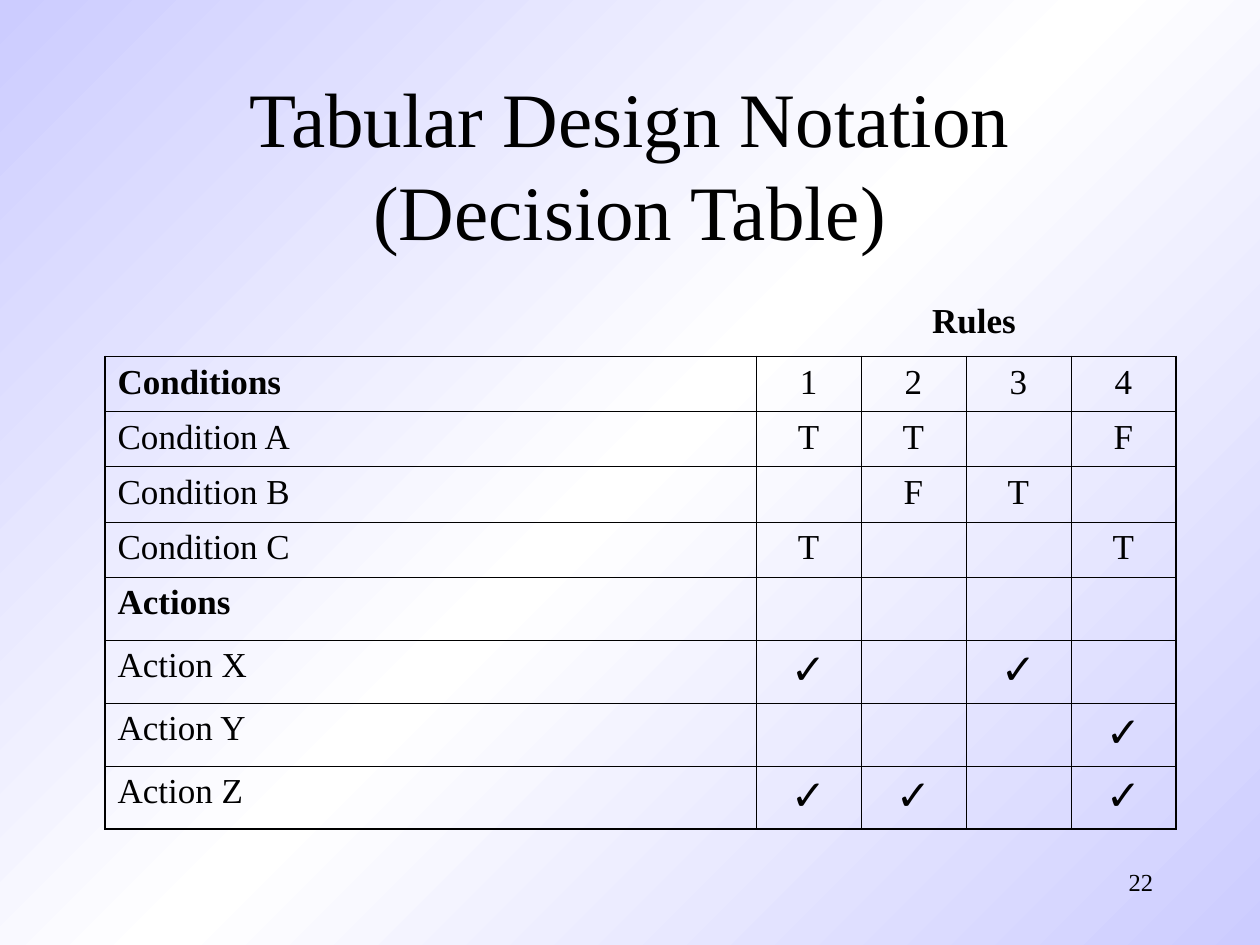
from copy import deepcopy
from typing import NamedTuple

from lxml import etree
from pptx import Presentation
from pptx import util as u
from pptx.dml.color import RGBColor
from pptx.enum import text
from pptx.oxml.ns import qn

COLORS = {"ink": "000000", "edge": "CCCCFF", "middle": "FFFFFF"}
FONT = "Times New Roman"
CHECK = "✓"
OUTER, INNER = u.Pt(1.08), u.Pt(0.45)
LEFT, CENTER, RIGHT = (text.PP_ALIGN.LEFT, text.PP_ALIGN.CENTER,
                       text.PP_ALIGN.RIGHT)

# Table grid: four rule columns and eight rows fill 8.5 by 3.75 inches
TABLE_WIDTH, TABLE_HEIGHT = 8.5, 3.75
RULE_WIDTH = 5 / 6
COL_WIDTHS = [TABLE_WIDTH - 4 * RULE_WIDTH] + [RULE_WIDTH] * 4
ACTION_HEIGHT = 0.5
CONDITION_HEIGHT = (TABLE_HEIGHT - 4 * ACTION_HEIGHT) / 4


class Row(NamedTuple):
    label: str
    rules: tuple[str, str, str, str] = ("", "", "", "")
    height: float = ACTION_HEIGHT
    bold: bool = False


class Label(NamedTuple):
    content: str
    box: tuple[float, float, float, float]
    size: float
    align: text.PP_ALIGN
    bold: bool = False
    anchor: text.MSO_ANCHOR = text.MSO_ANCHOR.TOP
    wrap: bool = True


ROWS = [
    Row("Conditions", ("1", "2", "3", "4"), CONDITION_HEIGHT, True),
    Row("Condition A", ("T", "T", "", "F"), CONDITION_HEIGHT),
    Row("Condition B", ("", "F", "T", ""), CONDITION_HEIGHT),
    Row("Condition C", ("T", "", "", "T"), CONDITION_HEIGHT),
    Row("Actions", bold=True),
    Row("Action X", (CHECK, "", CHECK, "")),
    Row("Action Y", ("", "", "", CHECK)),
    Row("Action Z", (CHECK, CHECK, "", CHECK)),
]

LABELS = [
    Label("22", (7.17, 6.83, 2.08, 0.5), 14, RIGHT),
    Label("Tabular Design Notation (Decision Table)", (0.75, 0.67, 8.5, 1.25),
          44, CENTER, anchor=text.MSO_ANCHOR.MIDDLE),
    Label("Rules", (7.3, 2.32, 0.88, 0.44), 20, LEFT, bold=True, wrap=False),
]


def write(tf, content: str, *, size: float, align=LEFT, bold: bool = False,
          font: str = FONT, before: float = 0) -> None:
    p = tf.paragraphs[0]
    p.alignment = align
    p.space_before = u.Pt(before)
    r = p.add_run()
    r.text = content
    r.font.size = u.Pt(size)
    r.font.name = font
    r.font.bold = bold
    r.font.color.rgb = RGBColor.from_string(COLORS["ink"])


def paint_background(s) -> None:
    fill = s.background.fill
    fill.gradient()
    fill.gradient_angle = 315
    for stop in fill.gradient_stops:
        stop.color.rgb = RGBColor.from_string(COLORS["edge"])
    # The white middle stop needs a third entry in the list
    stops = s.background._cSld.find(".//" + qn("a:gsLst"))
    stops.insert(1, deepcopy(stops[0]))
    middle = fill.gradient_stops[1]
    middle.position = 0.5
    middle.color.rgb = RGBColor.from_string(COLORS["middle"])


def add_label(s, label: Label) -> None:
    sp = s.shapes.add_textbox(*map(u.Inches, label.box))
    tf = sp.text_frame
    tf.word_wrap = label.wrap
    if not label.wrap:
        tf.auto_size = text.MSO_AUTO_SIZE.SHAPE_TO_FIT_TEXT
    tf.vertical_anchor = label.anchor
    write(tf, label.content, size=label.size, align=label.align,
          bold=label.bold)


def set_borders(cell, widths: dict[str, int]) -> None:
    tc_pr = cell._tc.get_or_add_tcPr()
    for side, width in widths.items():
        ln = etree.SubElement(tc_pr, qn(f"a:ln{side}"), w=str(int(width)))
        fill = etree.SubElement(ln, qn("a:solidFill"))
        etree.SubElement(fill, qn("a:srgbClr"), val=COLORS["ink"])


def add_decision_table(s, rows: list[Row], left: float, top: float) -> None:
    box = left, top, TABLE_WIDTH, TABLE_HEIGHT
    tbl = s.shapes.add_table(len(rows), len(COL_WIDTHS),
                             *map(u.Inches, box)).table
    tbl.first_row = tbl.horz_banding = False
    for col, width in zip(tbl.columns, COL_WIDTHS):
        col.width = u.Inches(width)
    last_row, last_col = len(rows) - 1, len(COL_WIDTHS) - 1
    for i, row in enumerate(rows):
        tbl.rows[i].height = u.Inches(row.height)
        for j, content in enumerate((row.label, *row.rules)):
            cell = tbl.cell(i, j)
            set_borders(cell, {
                "L": OUTER if j == 0 else INNER,
                "R": OUTER if j == last_col else INNER,
                "T": OUTER if i == 0 else INNER,
                "B": OUTER if i == last_row else INNER,
            })
            cell.fill.background()
            if content == CHECK:
                write(cell.text_frame, content, size=24, align=CENTER,
                      bold=True, font="Arial", before=6)
            elif content:
                write(cell.text_frame, content, size=20, before=5,
                      align=CENTER if j else LEFT, bold=row.bold and j == 0)


def main() -> None:
    prs = Presentation()
    prs.slide_width, prs.slide_height = u.Inches(10), u.Inches(7.5)
    s = prs.slides.add_slide(prs.slide_layouts[6])
    paint_background(s)
    # Page number, title and heading over the rule columns
    for label in LABELS:
        add_label(s, label)
    # Conditions and actions against rules
    add_decision_table(s, ROWS, RULE_WIDTH, 2.83)
    prs.save("out.pptx")


if __name__ == "__main__":
    main()
